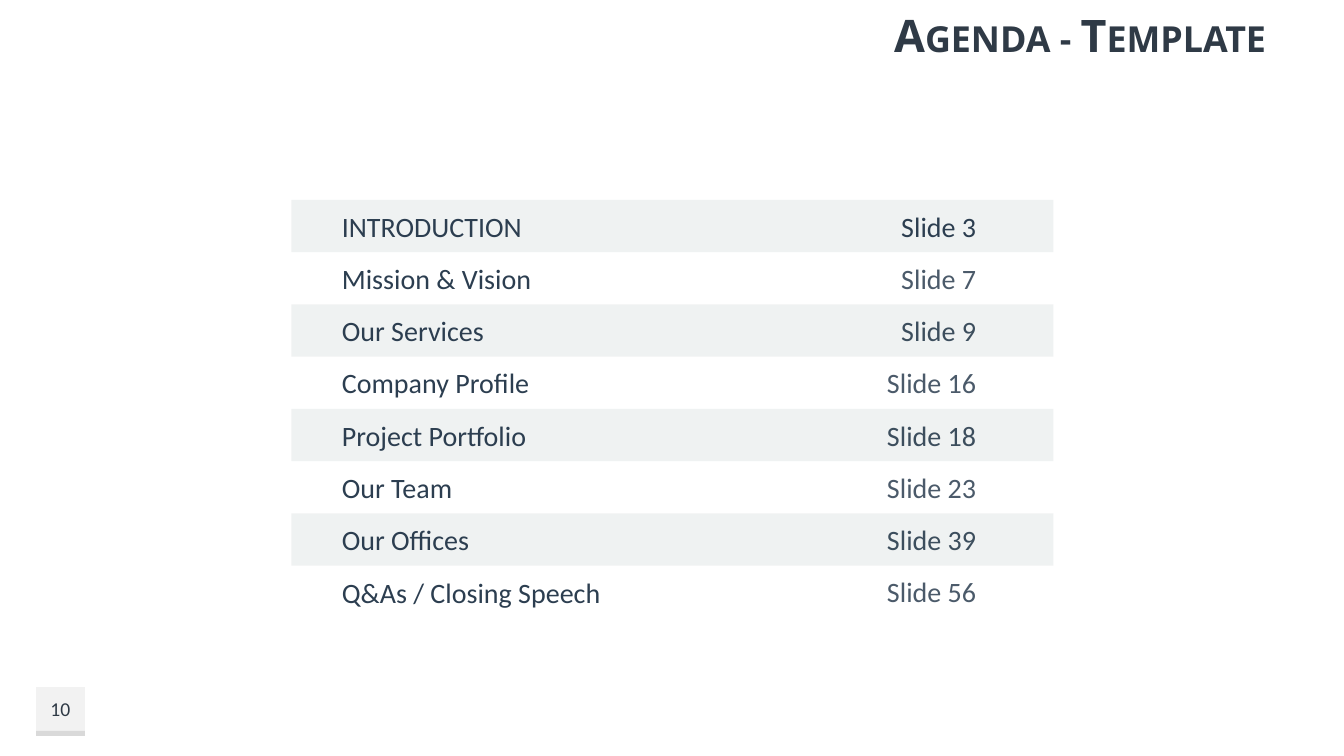
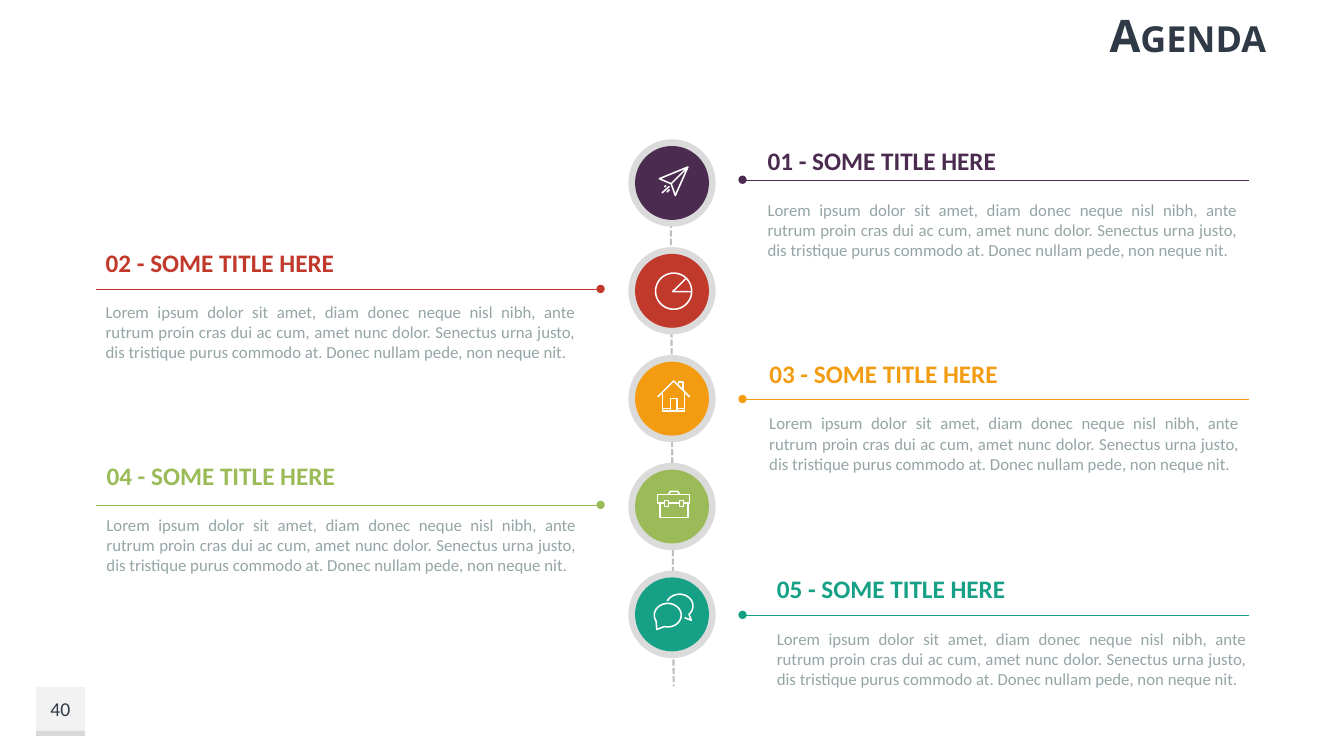
from dataclasses import dataclass
from math import cos, radians, sin
from typing import NamedTuple

from lxml import etree
from pptx import Presentation
from pptx import util as u
from pptx.dml.color import RGBColor
from pptx.enum import dml, shapes, text
from pptx.oxml.ns import qn

# The slide is a grid of 160 columns and 90 rows of square cells
COLUMNS, ROWS = 160, 90
CELL = u.Inches(7.5) / ROWS
ALIGN = text.PP_ALIGN
ANCHOR = text.MSO_ANCHOR
SHAPE = shapes.MSO_SHAPE


@dataclass(frozen=True)
class Theme:
    heading_font: str = "Open Sans"
    body_font: str = "Calibri"
    title_size: int = 32
    row_size: int = 20
    heading_size: int = 18
    number_size: int = 14
    body_size: int = 12
    icon_line: float = 1.1
    spine_line: float = 1.5
    rule_line: float = 0.25
    ink: str = "2F3A46"
    row_ink: str = "2C3E50"
    body_ink: str = "95A5A6"
    white: str = "FFFFFF"
    band: str = "9AAAAA"
    band_opacity: int = 15
    badge: str = "F2F2F2"
    badge_edge: str = "D9D9D9"
    ring: str = "DBDBDB"
    spine: str = "BFBFBF"
    plum: str = "4B2C50"
    red: str = "C0392B"
    orange: str = "F39C12"
    green: str = "9BBB59"
    teal: str = "16A085"


THEME = Theme()


class Box(NamedTuple):
    col: float
    row: float
    cols: float
    rows: float


class Style(NamedTuple):
    size: float
    color: str
    font: str = THEME.body_font
    bold: bool = False
    align: ALIGN = ALIGN.LEFT
    anchor: ANCHOR = ANCHOR.MIDDLE
    wrap: bool = True
    small_caps: bool = False


class AgendaRow(NamedTuple):
    topic: str
    page: str


Point = tuple[float, float]
Strokes = list[list[Point]]


class Milestone(NamedTuple):
    heading: str
    color: str
    col: float
    row: float
    rule_row: float
    icon: Strokes


TITLE = Style(THEME.title_size, THEME.ink, THEME.heading_font, True, ALIGN.RIGHT,
              small_caps=True)
NUMBER = Style(THEME.number_size, THEME.ink, align=ALIGN.CENTER)
TOPIC = Style(THEME.row_size, THEME.row_ink)
PAGE = TOPIC._replace(align=ALIGN.RIGHT)
BODY = Style(THEME.body_size, THEME.body_ink, align=ALIGN.JUSTIFY, anchor=ANCHOR.TOP)


# Drawing helpers
def cells(*counts: float) -> list[u.Emu]:
    return [u.Emu(round(count * CELL)) for count in counts]


def write(shape, words: str, style: Style) -> None:
    frame = shape.text_frame
    frame.text = words
    frame.word_wrap = style.wrap
    frame.vertical_anchor = style.anchor
    line = frame.paragraphs[0]
    line.alignment = style.align
    font = line.runs[0].font
    font.name, font.size, font.bold = style.font, u.Pt(style.size), style.bold
    font.color.rgb = RGBColor.from_string(style.color)
    if style.small_caps:
        line.runs[0]._r.get_or_add_rPr().set("cap", "small")


def add_text(slide, box: Box, words: str, style: Style) -> None:
    write(slide.shapes.add_textbox(*cells(*box)), words, style)


def add_filled(slide, preset: SHAPE, box: Box, color: str, opacity: int = 100):
    shape = slide.shapes.add_shape(preset, *cells(*box))
    shape.shadow.inherit = False
    shape.line.fill.background()
    shape.fill.solid()
    shape.fill.fore_color.rgb = RGBColor.from_string(color)
    if opacity < 100:
        tint = shape._element.spPr.find(f"{qn('a:solidFill')}/{qn('a:srgbClr')}")
        etree.SubElement(tint, qn("a:alpha"), val=str(opacity * 1000))
    return shape


def add_disc(slide, row: float, diameter: float, color: str) -> None:
    box = Box(SPINE_COL - diameter / 2, row - diameter / 2, diameter, diameter)
    add_filled(slide, SHAPE.OVAL, box, color)


def add_line(slide, start: Point, end: Point, color: str, width: float):
    line = slide.shapes.add_connector(shapes.MSO_CONNECTOR.STRAIGHT,
                                      *cells(*start, *end))
    line.line.color.rgb = RGBColor.from_string(color)
    line.line.width = u.Pt(width)
    etree.SubElement(line._element.spPr, qn("a:effectLst"))
    return line


def add_icon(slide, col: float, row: float, strokes: Strokes) -> None:
    placed = [[cells(col + x, row + y) for x, y in stroke] for stroke in strokes]
    builder = slide.shapes.build_freeform(*placed[0][0])
    for stroke in placed:
        builder.move_to(*stroke[0])
        builder.add_line_segments(stroke[1:], close=False)
    icon = builder.convert_to_shape()
    icon.shadow.inherit = False
    icon.fill.background()
    icon.line.color.rgb = RGBColor.from_string(THEME.white)
    icon.line.width = u.Pt(THEME.icon_line)


def arc(center: Point, radii: Point, start: int, end: int) -> list[Point]:
    return [(center[0] + radii[0] * cos(radians(angle)),
             center[1] + radii[1] * sin(radians(angle)))
            for angle in range(start, end + 1, 5)]


def rectangle(left: float, top: float, right: float, bottom: float) -> list[Point]:
    return [(left, top), (right, top), (right, bottom), (left, bottom), (left, top)]


# Icon strokes, in cells from the centre of their disc
PLANE = [
    [(1.9, -1.9), (-1.5, -0.5), (-0.1, 0.1), (0.4, 1.5), (1.9, -1.9), (-0.1, 0.1)],
    [(-0.3, 0.4), (-1.2, 1.2)],
    [(-0.7, 0.3), (-0.9, 0.5)],
    [(-0.3, 0.8), (-0.6, 1.1)],
]
PIE = [
    arc((0.2, 0.05), (2.15, 2.15), 0, 360),
    [(2.3, 0.1), (0.1, 0.1), (1.6, -1.4)],
]
HOUSE = [
    [(-1.7, -0.2), (0.2, -2.1), (2.1, -0.2)],
    [(-1.1, -0.7), (-1.1, 1.5), (1.5, 1.5), (1.5, -0.7)],
    [(-0.2, 1.5), (-0.2, 0), (0.6, 0), (0.6, 1.5)],
    [(-1.1, 1.2), (-0.2, 1.2)],
    [(0.6, 1.2), (1.5, 1.2)],
    [(0.8, -1.5), (0.8, -2), (1.3, -2), (1.3, -1)],
]
BRIEFCASE = [
    [(-0.9, -0.4), (-1.7, -0.4), (-1.7, -1.4), (2.1, -1.4), (2.1, -0.4), (1.4, -0.4)],
    [(-0.4, -0.4), (0.9, -0.4)],
    [(-1.4, -0.4), (-1.4, 1.3), (1.9, 1.3), (1.9, -0.4)],
    [(-0.4, -1.4), (-0.2, -1.8), (0.7, -1.8), (0.9, -1.4)],
    rectangle(-0.9, -0.7, -0.4, 0),
    rectangle(0.9, -0.7, 1.4, 0),
]
CHAT = [
    [(-1.8, 1.8), *arc((-0.5, 0.1), (1.6, 1.4), 150, 465), (-1.8, 1.8)],
    [*arc((0.9, -1), (1.6, 1.4), 205, 405), (2.3, 0.7), (1.5, 0.4)],
]

# Content
AGENDA = [
    AgendaRow("INTRODUCTION", "Slide 3"),
    AgendaRow("Mission & Vision", "Slide 7"),
    AgendaRow("Our Services", "Slide 9"),
    AgendaRow("Company Profile", "Slide 16"),
    AgendaRow("Project Portfolio", "Slide 18"),
    AgendaRow("Our Team", "Slide 23"),
    AgendaRow("Our Offices", "Slide 39"),
    AgendaRow("Q&As / Closing Speech", "Slide 56"),
]
AGENDA_TOP, AGENDA_PITCH = 23.8, 6.22

MILESTONES = [
    Milestone("01 - SOME TITLE HERE", THEME.plum, 90.2, 16.7, 21.4, PLANE),
    Milestone("02 - SOME TITLE HERE", THEME.red, 11.4, 28.8, 34.4, PIE),
    Milestone("03 - SOME TITLE HERE", THEME.orange, 90.4, 42.1, 47.5, HOUSE),
    Milestone("04 - SOME TITLE HERE", THEME.green, 11.5, 54.2, 60.1, BRIEFCASE),
    Milestone("05 - SOME TITLE HERE", THEME.teal, 91.3, 67.7, 73.2, CHAT),
]
SUMMARY = ("Lorem ipsum dolor sit amet, diam donec neque nisl nibh, ante rutrum proin "
           "cras dui ac cum, amet nunc dolor. Senectus urna justo, dis tristique purus "
           "commodo at. Donec nullam pede, non neque nit.")
SPINE_COL = COLUMNS / 2
DISC_TOP, DISC_PITCH = 21.78, 12.84
RING_SIZE, DISC_SIZE = 10.4, 8.8
RIGHT_RULE, LEFT_RULE = (88.4, 148.7), (71.5, 11.4)


# Shared title and page badge
def new_slide(deck, title: str, number: str):
    slide = deck.slides.add_slide(deck.slide_layouts[6])
    add_filled(slide, SHAPE.RECTANGLE, Box(4.3, 81.8, 5.8, 5.8), THEME.badge)
    add_filled(slide, SHAPE.RECTANGLE, Box(4.3, 87, 5.8, 0.6), THEME.badge_edge)
    add_text(slide, Box(51, 0, 100.9, 8.2), title, TITLE)
    add_text(slide, Box(4.3, 81.8, 5.8, 5.2), number, NUMBER)
    return slide


def add_band(slide, index: int) -> None:
    box = Box(34.7, AGENDA_TOP + index * AGENDA_PITCH, 90.7, AGENDA_PITCH)
    color = THEME.white if index % 2 else THEME.band
    band = add_filled(slide, SHAPE.RECTANGLE, box, color, THEME.band_opacity)
    write(band, AGENDA[index].topic, TOPIC)
    band.text_frame.margin_left = cells(6)[0]


def build_agenda(deck) -> None:
    slide = new_slide(deck, "Agenda - Template", "10")
    # The bands after the first veil their page numbers
    add_band(slide, 0)
    for index, entry in enumerate(AGENDA):
        row = AGENDA_TOP + index * AGENDA_PITCH + 0.45
        add_text(slide, Box(99.8, row, 17.6, 5.3), entry.page, PAGE)
    for index in range(1, len(AGENDA)):
        add_band(slide, index)


def add_milestone(slide, index: int, item: Milestone) -> None:
    center = DISC_TOP + index * DISC_PITCH
    add_disc(slide, center, RING_SIZE, THEME.ring)
    add_disc(slide, center, DISC_SIZE, item.color)
    add_icon(slide, SPINE_COL, center, item.icon)
    # Rule with a dot at the end near the spine
    near, far = LEFT_RULE if index % 2 else RIGHT_RULE
    rule = add_line(slide, (near, item.rule_row), (far, item.rule_row),
                    item.color, THEME.rule_line)
    etree.SubElement(rule.line._get_or_add_ln(), qn("a:headEnd"), type="oval")
    heading = Style(THEME.heading_size, item.color, bold=True,
                    anchor=ANCHOR.TOP, wrap=False)
    add_text(slide, Box(item.col, item.row, 29.9, 4.8), item.heading, heading)
    add_text(slide, Box(item.col, item.row + 6.5, 58.3, 8.5), SUMMARY, BODY)


def build_timeline(deck) -> None:
    slide = new_slide(deck, "Agenda", "40")
    spine = add_line(slide, (SPINE_COL - 0.2, 17.4), (SPINE_COL + 0.2, 81.7),
                     THEME.spine, THEME.spine_line)
    spine.line.dash_style = dml.MSO_LINE.SQUARE_DOT
    spine.line._get_or_add_ln().find(qn("a:prstDash")).set("val", "sysDash")
    for index, item in enumerate(MILESTONES):
        add_milestone(slide, index, item)


def main() -> None:
    deck = Presentation()
    deck.slide_width, deck.slide_height = cells(COLUMNS, ROWS)
    build_agenda(deck)
    build_timeline(deck)
    deck.save("out.pptx")


if __name__ == "__main__":
    main()
